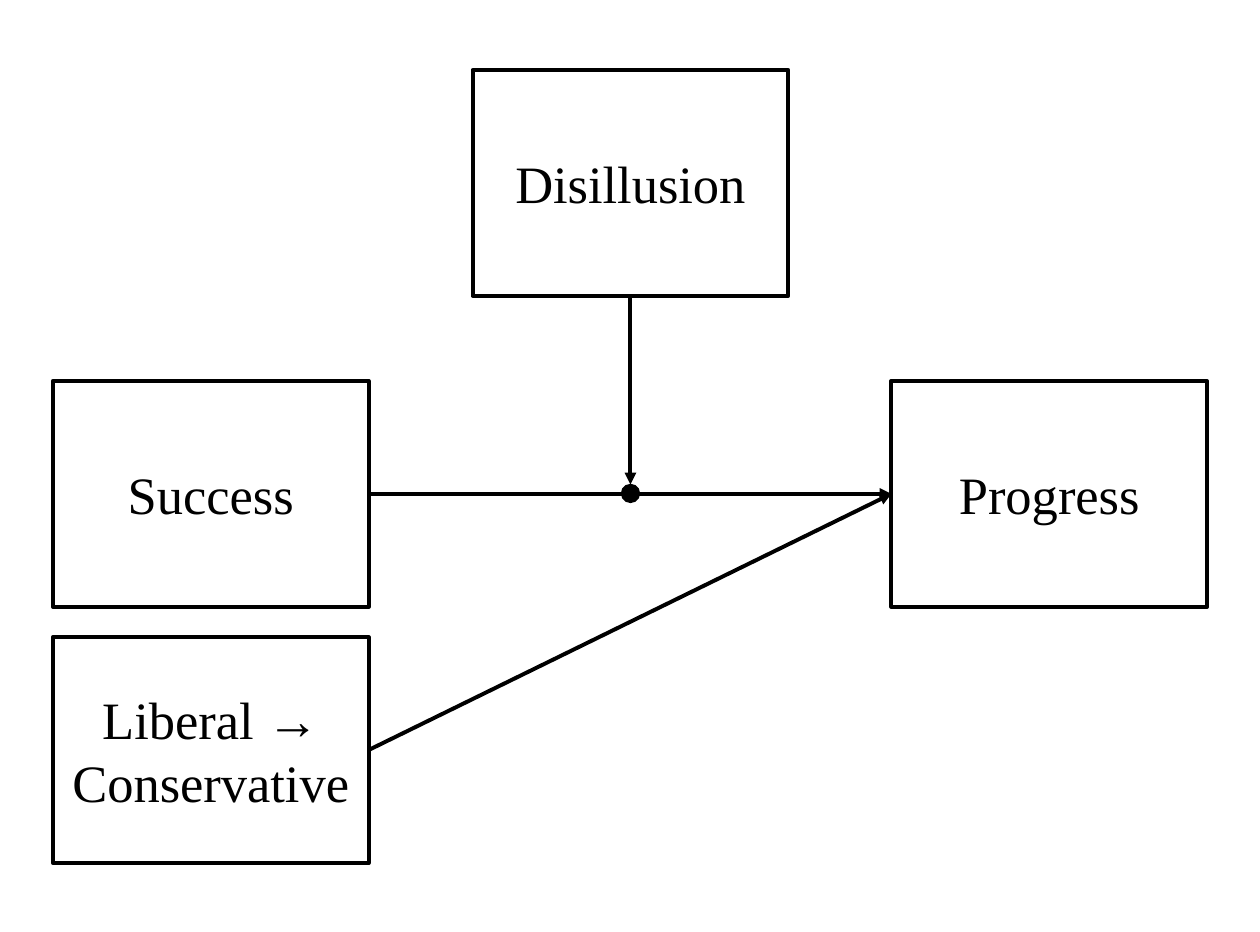
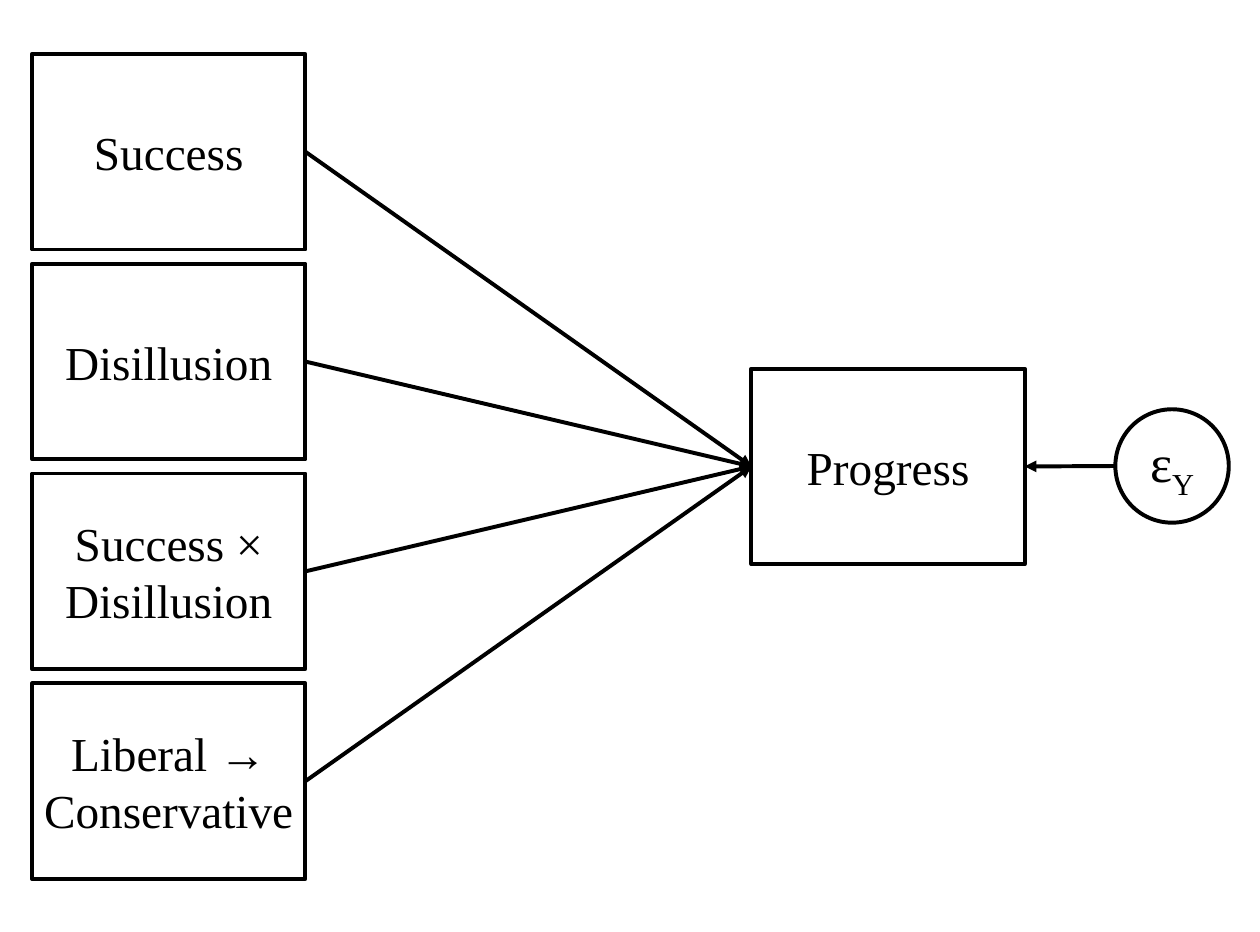
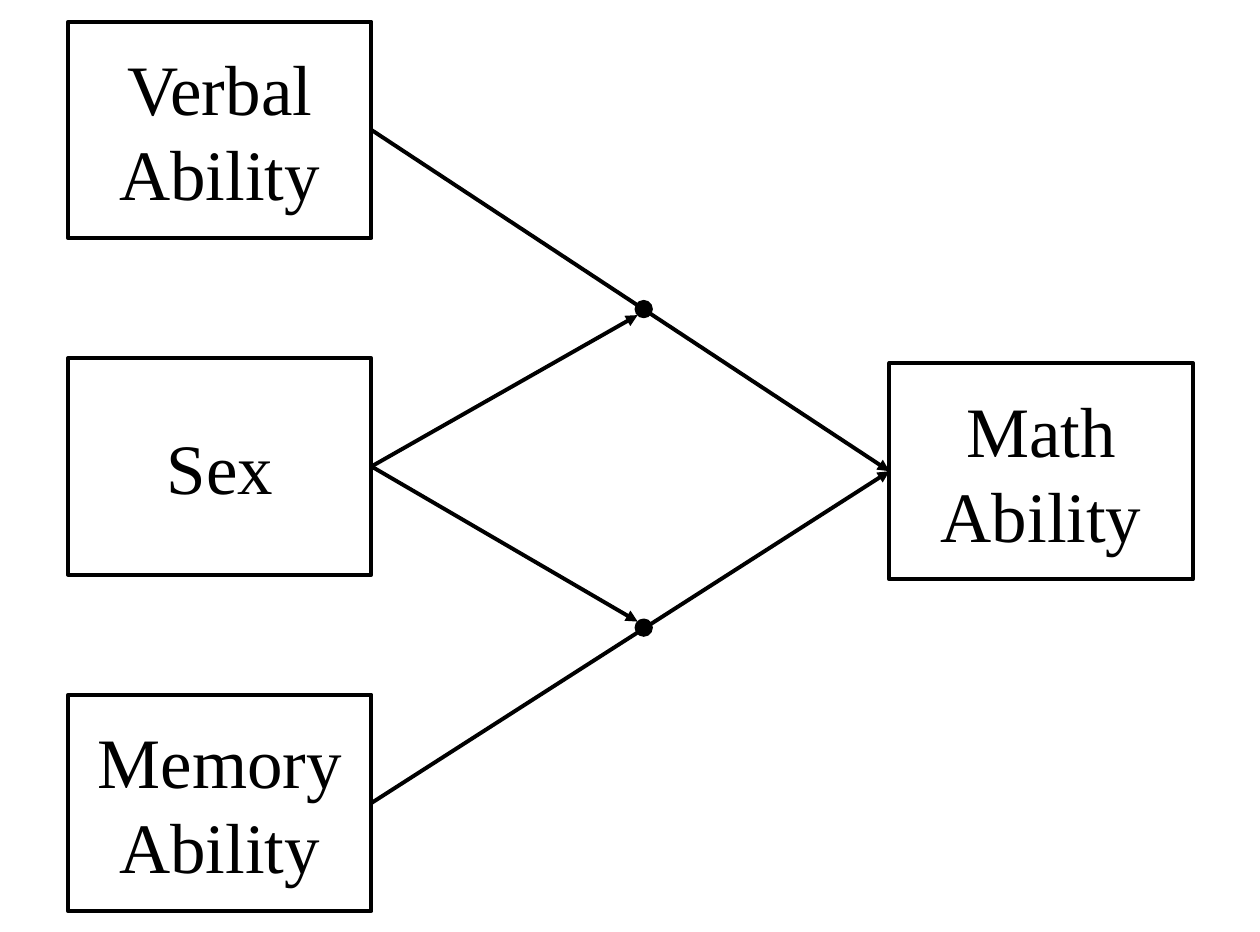
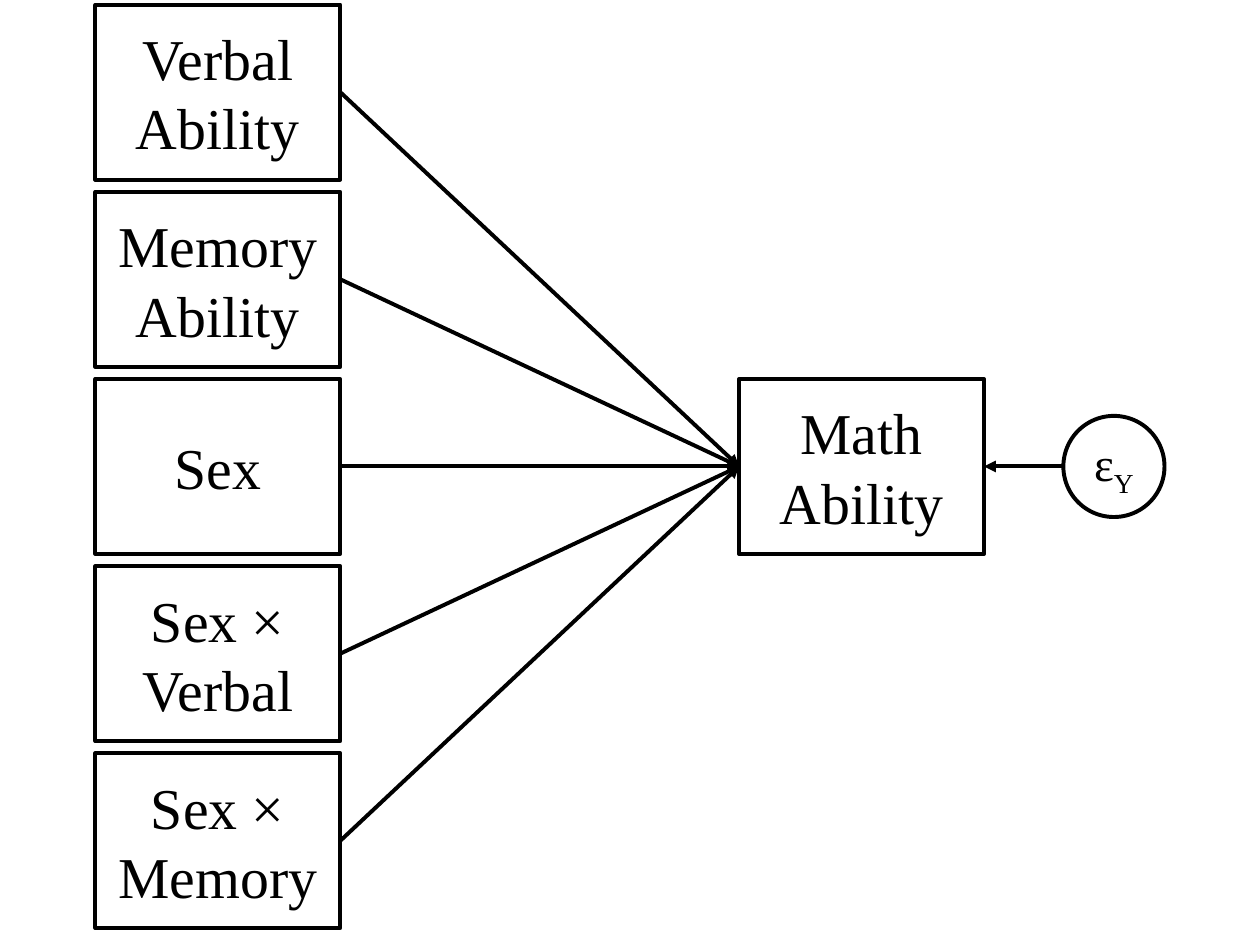
from dataclasses import dataclass
import math

import lxml.etree
import pptx
import pptx.dml.color
import pptx.enum.shapes
import pptx.enum.text
import pptx.oxml.ns
import pptx.util

Inches = pptx.util.Inches
Preset = pptx.enum.shapes.MSO_SHAPE

# Shared style
FONT = "Times New Roman"
INK = "000000"
PAPER = "FFFFFF"
LINE_WIDTH = 3
SLIDE_WIDTH, SLIDE_HEIGHT = 13.33, 9.86
BLANK_LAYOUT = 6

# Connection sites of a rectangle
TOP, LEFT, BOTTOM, RIGHT = range(4)


@dataclass(frozen=True)
class BoxStyle:
    """Size of the variable boxes on one slide and of their text."""
    width: float
    height: float
    font_size: int


@dataclass(frozen=True)
class Point:
    x: float
    y: float


@dataclass(frozen=True)
class ErrorTerm:
    """Circle with the residual of the outcome."""
    left: float
    top: float
    diameter: float
    font_size: int


@dataclass(frozen=True)
class RegressionDiagram:
    """Stacked predictors that all point at one outcome."""
    style: BoxStyle
    predictors: tuple[str, ...]
    left: float
    top: float
    pitch: float
    outcome: str
    outcome_corner: Point
    error: ErrorTerm


def color(value: str):
    return pptx.dml.color.RGBColor.from_string(value)


def add_outlined(page, preset, left: float, top: float, width: float, height: float,
                 fill: str = PAPER, line_width: float = LINE_WIDTH):
    shape = page.shapes.add_shape(
        preset, Inches(left), Inches(top), Inches(width), Inches(height))
    shape.shadow.inherit = False
    shape.fill.solid()
    shape.fill.fore_color.rgb = color(fill)
    shape.line.color.rgb = color(INK)
    shape.line.width = pptx.util.Pt(line_width)
    return shape


def format_label(shape, font_size: int) -> None:
    frame = shape.text_frame
    frame.word_wrap = True
    frame.vertical_anchor = pptx.enum.text.MSO_ANCHOR.MIDDLE
    for para in frame.paragraphs:
        para.alignment = pptx.enum.text.PP_ALIGN.CENTER
        for span in para.runs:
            span.font.name = FONT
            span.font.size = pptx.util.Pt(font_size)
            span.font.color.rgb = color(INK)


def add_box(page, style: BoxStyle, left: float, top: float, text: str):
    box = add_outlined(page, Preset.RECTANGLE, left, top, style.width, style.height)
    box.text_frame.text = text
    format_label(box, style.font_size)
    return box


def add_stack(page, style: BoxStyle, left: float, top: float, pitch: float,
              labels: tuple[str, ...]) -> list:
    return [add_box(page, style, left, top + row * pitch, label)
            for row, label in enumerate(labels)]


def add_dot(page, center: Point, diameter: float):
    return add_outlined(page, Preset.OVAL, center.x - diameter / 2, center.y - diameter / 2,
                        diameter, diameter, fill=INK, line_width=1)


def add_arrow(page, start, start_site: int, end, end_site: int = LEFT):
    """Draw an arrow from a box to another shape, or to a free point."""
    arrow = page.shapes.add_connector(pptx.enum.shapes.MSO_CONNECTOR.STRAIGHT, 0, 0, 0, 0)
    arrow.begin_connect(start, start_site)
    if isinstance(end, Point):
        arrow.end_x, arrow.end_y = Inches(end.x), Inches(end.y)
    else:
        arrow.end_connect(end, end_site)
    style_arrow(arrow)
    return arrow


def style_arrow(arrow) -> None:
    qn = pptx.oxml.ns.qn
    arrow.line.color.rgb = color(INK)
    arrow.line.width = pptx.util.Pt(LINE_WIDTH)
    properties = arrow.line._get_or_add_ln().getparent()
    head = lxml.etree.SubElement(properties.find(qn("a:ln")), qn("a:tailEnd"))
    head.set("type", "triangle")
    lxml.etree.SubElement(properties, qn("a:effectLst"))


def add_error_term(page, error: ErrorTerm, outcome) -> None:
    circle = add_outlined(page, Preset.OVAL, error.left, error.top,
                          error.diameter, error.diameter)
    para = circle.text_frame.paragraphs[0]
    para.text = "ε"
    subscript = para.add_run()
    subscript.text = "Y"
    format_label(circle, error.font_size)
    subscript._r.get_or_add_rPr().set("baseline", "-25000")

    arrow = page.shapes.add_connector(
        pptx.enum.shapes.MSO_CONNECTOR.STRAIGHT,
        circle.left, circle.top + circle.height // 2, 0, 0)
    arrow.end_connect(outcome, RIGHT)
    style_arrow(arrow)


def draw_regression(page, diagram: RegressionDiagram) -> None:
    predictors = add_stack(page, diagram.style, diagram.left, diagram.top,
                           diagram.pitch, diagram.predictors)
    corner = diagram.outcome_corner
    outcome = add_box(page, diagram.style, corner.x, corner.y, diagram.outcome)
    for predictor in predictors:
        add_arrow(page, predictor, RIGHT, outcome)
    add_error_term(page, diagram.error, outcome)


def draw_progress_moderation(page) -> None:
    style = BoxStyle(3.34, 2.39, 40)
    moderator = add_box(page, style, 5, 0.74, "Disillusion")
    predictors = add_stack(page, style, 0.56, 4.03, 2.71,
                           ("Success", "Liberal → Conservative"))
    outcome = add_box(page, style, 9.43, 4.03, "Progress")
    dot = add_dot(page, Point(6.67, 5.22), 0.19)
    add_arrow(page, moderator, BOTTOM, dot, TOP)
    for predictor in predictors:
        add_arrow(page, predictor, RIGHT, outcome)


def draw_ability_moderation(page) -> None:
    style = BoxStyle(3.21, 2.29, 54)
    verbal, sex, memory = add_stack(page, style, 0.72, 0.23, 3.56,
                                    ("Verbal Ability", "Sex", "Memory Ability"))
    outcome = add_box(page, style, 9.41, 3.84, "Math Ability")
    diameter = 0.18
    reach = diameter / 2 * math.sqrt(0.5)
    # The moderator's arrows stop at the near diagonal of each dot
    for predictor, center, side in ((verbal, Point(6.81, 3.27), 1),
                                    (memory, Point(6.81, 6.64), -1)):
        add_arrow(page, predictor, RIGHT, outcome)
        add_dot(page, center, diameter)
        add_arrow(page, sex, RIGHT, Point(center.x - reach, center.y + side * reach))


PROGRESS_REGRESSION = RegressionDiagram(
    style=BoxStyle(2.89, 2.07, 36),
    predictors=("Success", "Disillusion", "Success × Disillusion", "Liberal → Conservative"),
    left=0.34, top=0.57, pitch=2.22,
    outcome="Progress", outcome_corner=Point(7.95, 3.9),
    error=ErrorTerm(11.8, 4.33, 1.2, 40))

ABILITY_REGRESSION = RegressionDiagram(
    style=BoxStyle(2.59, 1.85, 44),
    predictors=("Verbal Ability", "Memory Ability", "Sex", "Sex × Verbal", "Sex × Memory"),
    left=1.01, top=0.05, pitch=1.98,
    outcome="Math Ability", outcome_corner=Point(7.82, 4.01),
    error=ErrorTerm(11.25, 4.4, 1.07, 36))


def main() -> None:
    deck = pptx.Presentation()
    deck.slide_width, deck.slide_height = Inches(SLIDE_WIDTH), Inches(SLIDE_HEIGHT)

    def new_page():
        return deck.slides.add_slide(deck.slide_layouts[BLANK_LAYOUT])

    draw_progress_moderation(new_page())
    draw_regression(new_page(), PROGRESS_REGRESSION)
    draw_ability_moderation(new_page())
    draw_regression(new_page(), ABILITY_REGRESSION)
    deck.save("out.pptx")


if __name__ == "__main__":
    main()
